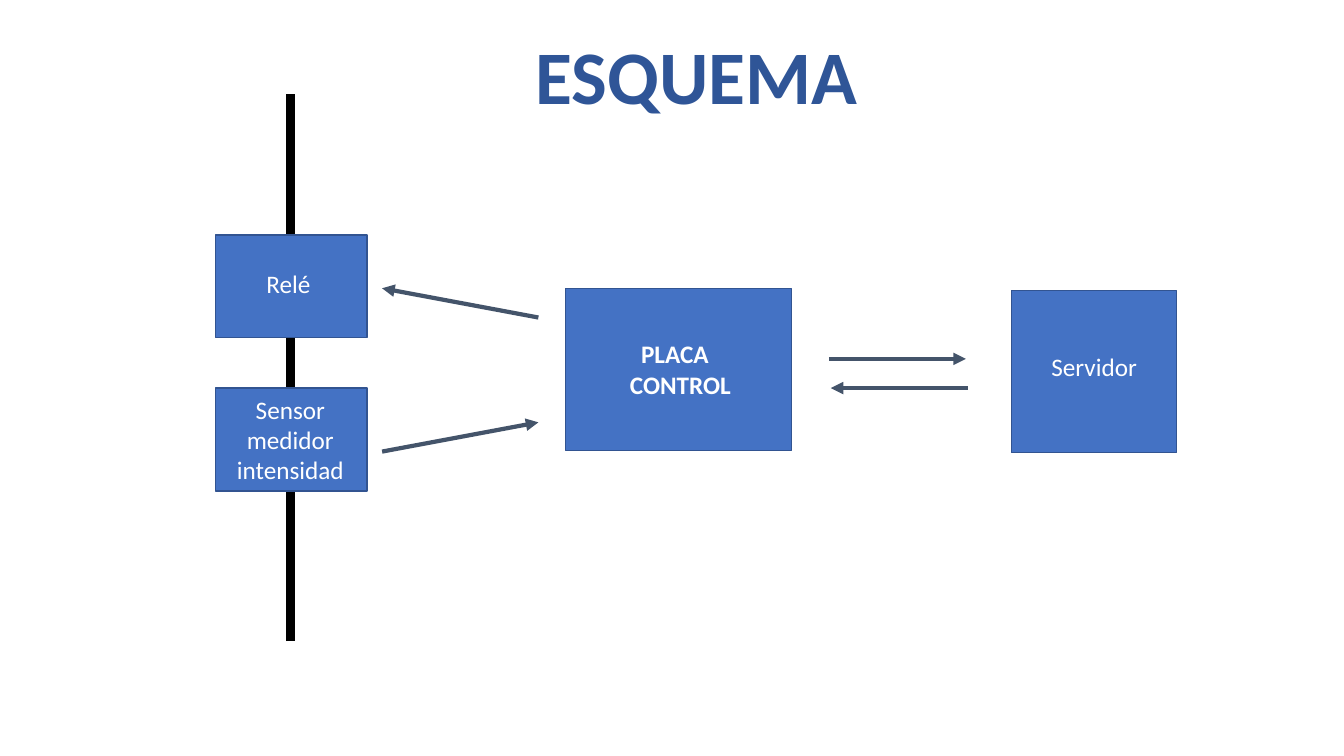
from lxml import etree
from pptx import Presentation
from pptx.dml.color import RGBColor
from pptx.enum.shapes import MSO_CONNECTOR, MSO_SHAPE
from pptx.enum.text import MSO_ANCHOR, PP_ALIGN
from pptx.oxml.ns import qn
from pptx.util import Inches, Pt

RECT = MSO_SHAPE.RECTANGLE
STRAIGHT = MSO_CONNECTOR.STRAIGHT
TOP, BOTTOM = MSO_ANCHOR.TOP, MSO_ANCHOR.BOTTOM
LEFT, CENTER = PP_ALIGN.LEFT, PP_ALIGN.CENTER

# Content: lengths in inches, sizes in points
BLACK, WHITE, BLUE, EDGE, NAVY, SLATE = (
    "000000", "FFFFFF", "4472C4", "325491", "2F5597", "44546A")
CABLE = ((2.88, 6.36), (2.88, 0.93))
BOXES = [
    (5.61, 2.86, 2.24, 1.61),
    (2.14, 2.33, 1.5, 1.02),
    (2.14, 3.85, 1.5, 1.02),
    (10.03, 2.88, 1.64, 1.61),
]
ARROWS = [
    ((5.34, 3.15), (3.79, 2.86)),
    ((3.79, 4.48), (5.34, 4.19)),
    ((8.22, 3.56), (9.58, 3.56)),
    ((9.6, 3.85), (8.24, 3.85)),
]
PLAIN = {"size": Pt(18), "bold": False, "name": "Calibri"}
STRONG = {**PLAIN, "bold": True}
HEAD = {**STRONG, "size": Pt(54)}
# Place, lines as (text, indent), font, colour, alignment, anchor, spacing
TEXTS = [
    ((2.16, 0.33, 9.5, 0.92), [("ESQUEMA", 0)], HEAD, NAVY, CENTER, BOTTOM, 0.9),
    ((6.15, 3.31, 1.83, 0.71), [("PLACA", 0.11), ("CONTROL", 0)],
     STRONG, WHITE, LEFT, TOP, 1.0),
    ((2.2, 2.61, 1.32, 0.4), [("Relé", 0)], PLAIN, WHITE, CENTER, TOP, 1.0),
    ((2.2, 3.86, 1.36, 1.01), [("Sensor medidor intensidad", 0)],
     PLAIN, WHITE, CENTER, TOP, 1.0),
    ((10.33, 3.44, 1.36, 0.4), [("Servidor", 0)], PLAIN, WHITE, LEFT, TOP, 1.0),
]

deck = Presentation()
deck.slide_width, deck.slide_height = Inches(13.33), Inches(7.5)
slide = deck.slides.add_slide(deck.slide_layouts[6])
shapes = slide.shapes


def paint(color, tone):
    color.rgb = RGBColor.from_string(tone)


def add_line(ends, tone, width, arrow=False):
    start, end = ends
    link = shapes.add_connector(STRAIGHT, *map(Inches, start + end))
    paint(link.line.color, tone)
    link.line.width = Pt(width)
    if arrow:
        tip = etree.SubElement(link.line._get_or_add_ln(), qn("a:tailEnd"))
        tip.set("type", "triangle")
    etree.SubElement(link._element.spPr, qn("a:effectLst"))


def add_box(place):
    box = shapes.add_shape(RECT, *map(Inches, place))
    box.shadow.inherit = False
    box.fill.solid()
    paint(box.fill.fore_color, BLUE)
    paint(box.line.color, EDGE)
    box.line.width = Pt(1)


def add_text(place, lines, font, tone, align, anchor, spacing):
    frame = shapes.add_textbox(*map(Inches, place)).text_frame
    frame.word_wrap = True
    frame.vertical_anchor = anchor
    for i, (words, indent) in enumerate(lines):
        para = frame.add_paragraph() if i else frame.paragraphs[0]
        para.alignment = align
        para.line_spacing = spacing
        if indent:
            para._p.get_or_add_pPr().set("marL", str(Inches(indent)))
        run = para.add_run()
        run.text = words
        for key, value in font.items():
            setattr(run.font, key, value)
        paint(run.font.color, tone)


# Cable first, so that the boxes cover it
add_line(CABLE, BLACK, 6)
for place in BOXES:
    add_box(place)
for ends in ARROWS:
    add_line(ends, SLATE, 3, arrow=True)
for item in TEXTS:
    add_text(*item)

deck.save("out.pptx")
